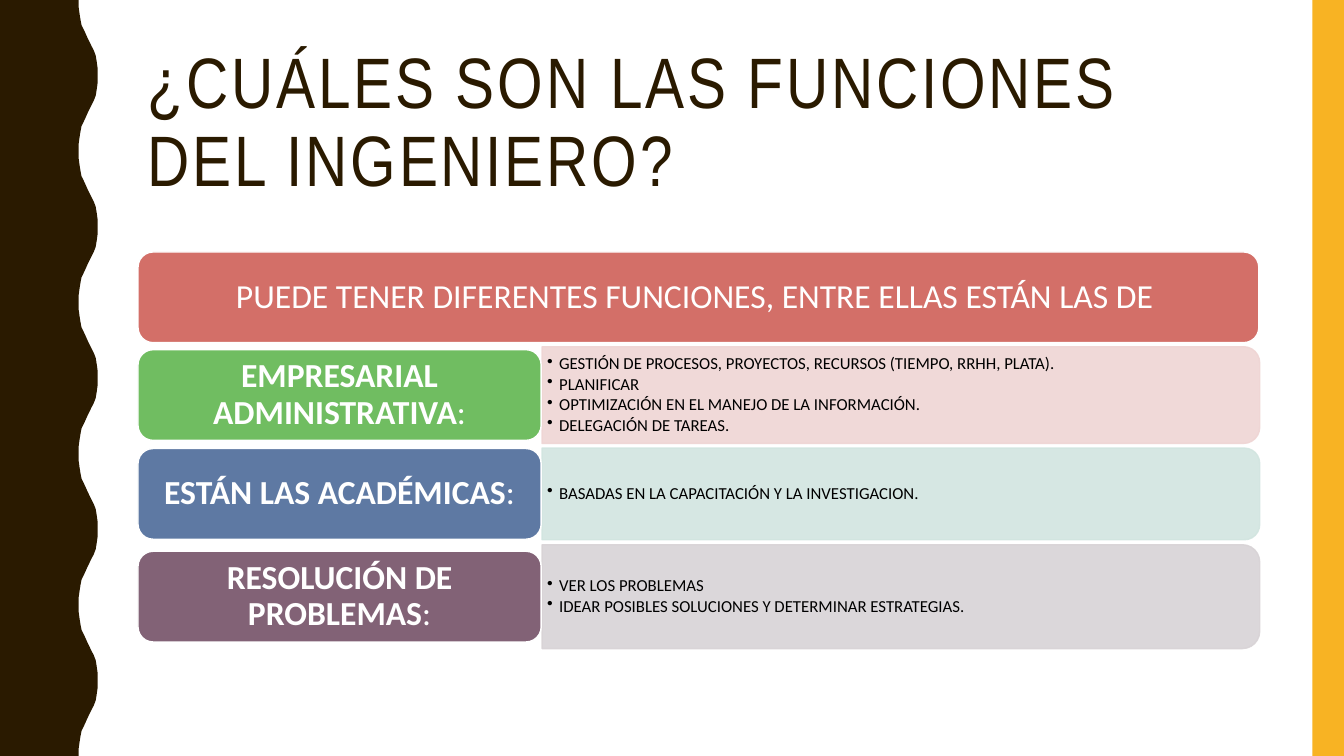
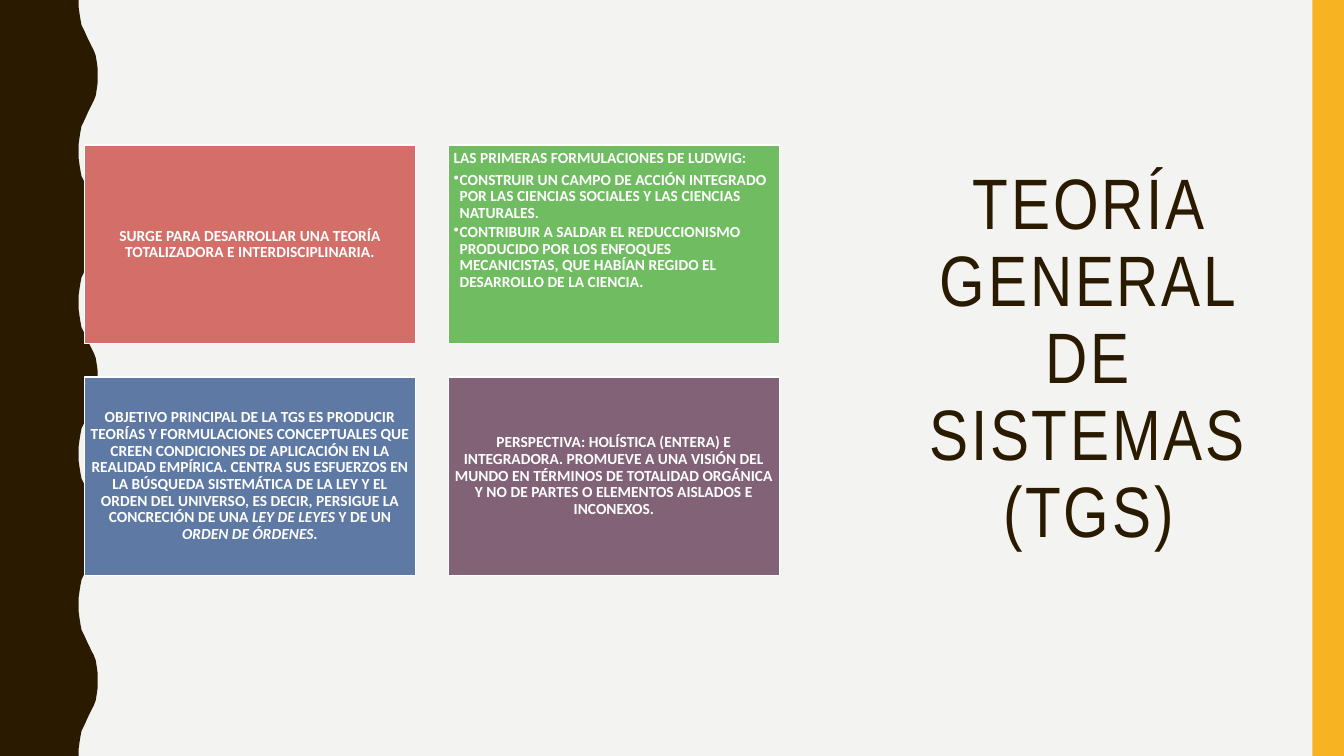
from lxml import etree
from pptx import Presentation
from pptx.dml.color import RGBColor
from pptx.enum.shapes import MSO_SHAPE
from pptx.enum.text import MSO_ANCHOR, PP_ALIGN
from pptx.oxml.ns import qn
from pptx.util import Pt

RECTANGLE = MSO_SHAPE.RECTANGLE
ROUNDED = MSO_SHAPE.ROUNDED_RECTANGLE
TWO_ROUND_CORNERS = MSO_SHAPE.ROUND_2_SAME_RECTANGLE
MIDDLE, TOP = MSO_ANCHOR.MIDDLE, MSO_ANCHOR.TOP
LEFT, CENTER = PP_ALIGN.LEFT, PP_ALIGN.CENTER


class Theme:
    white = RGBColor.from_string("FFFFFF")
    black = RGBColor.from_string("000000")
    pale = RGBColor.from_string("F3F3F2")
    brown = RGBColor.from_string("2A1A00")
    yellow = RGBColor.from_string("F8B323")
    red = RGBColor.from_string("D36F68")
    green = RGBColor.from_string("70BD61")
    blue = RGBColor.from_string("5E79A3")
    purple = RGBColor.from_string("826276")
    pale_red = RGBColor.from_string("EFD5D4")
    pale_teal = RGBColor.from_string("D2E5E0")
    pale_purple = RGBColor.from_string("D8D3D6")
    title_font, body_font = "Arial Narrow", "Calibri"
    title_size, label_size, detail_size, card_size = 51, 24, 12, 11
    panel_opacity = 90
    line_spacing = 0.9


def add_block(slide, kind, box, fill, outline=None, opacity=100):
    """Add a shadowless shape; opacity applies to both fill and outline."""
    block = slide.shapes.add_shape(kind, *map(Pt, box))
    block.shadow.inherit = False
    block.fill.solid()
    block.fill.fore_color.rgb = fill
    if outline is None:
        block.line.fill.background()
    else:
        block.line.color.rgb = outline
        block.line.width = Pt(1)
    if opacity < 100:
        for color in block._element.spPr.iter(qn("a:srgbClr")):
            etree.SubElement(color, qn("a:alpha"), val=str(opacity * 1000))
    return block


def write(frame, paragraphs, size, color, font=Theme.body_font, align=CENTER,
          anchor=MIDDLE, insets=(7.2, 3.6), indent=0, spacing=0):
    """Fill a frame from (bulleted, space after, [(text, bold, italic)]) paragraphs."""
    frame.word_wrap = True
    frame.vertical_anchor = anchor
    frame.margin_left = frame.margin_right = Pt(insets[0])
    frame.margin_top = frame.margin_bottom = Pt(insets[1])
    for index, (bulleted, space_after, runs) in enumerate(paragraphs):
        paragraph = frame.add_paragraph() if index else frame.paragraphs[0]
        if bulleted:
            properties = paragraph._p.get_or_add_pPr()
            properties.set("marL", str(Pt(indent)))
            properties.set("indent", str(-Pt(indent)))
            etree.SubElement(properties, qn("a:buChar"), char="•")
        paragraph.alignment = align
        paragraph.line_spacing = Theme.line_spacing
        paragraph.space_after = Pt(space_after)
        for text, bold, italic in runs:
            run = paragraph.add_run()
            run.text = text
            run.font.name, run.font.size = font, Pt(size)
            run.font.bold, run.font.italic = bold, italic
            run.font.color.rgb = color
            if spacing:
                run._r.get_or_add_rPr().set("spc", str(spacing * 100))


prs = Presentation()
prs.slide_width, prs.slide_height = Pt(960), Pt(540)

# Wavy left band: half a wave, mirrored and repeated down the slide
half_wave = [(56.2, 0), (56.2, 5), (56.9, 10), (57.6, 14.4), (58.3, 18),
             (59.8, 21), (61.2, 24), (62.6, 27.2), (64.1, 30.2), (65.5, 33.1),
             (67, 36), (68.4, 39.6), (69.1, 43.9), (69.8, 49), (69.8, 54)]
wave_length = 108
wave = half_wave + [(x, wave_length - y) for x, y in reversed(half_wave[:-1])]
edge = [(x, y + wave_length * cycle) for cycle in range(5) for x, y in wave]

# Frame and title of every slide
slides = []
for title, background, title_box, title_align in [
    ("¿CUÁLES SON LAS FUNCIONES DEL INGENIERO?", Theme.white,
     (98.6, 30.2, 801.4, 117.4), LEFT),
    ("TEORÍA GENERAL DE SISTEMAS (TGS)", Theme.pale,
     (633.6, 38.2, 288, 438.5), CENTER),
]:
    slide = prs.slides.add_slide(prs.slide_layouts[6])
    slide.background.fill.solid()
    slide.background.fill.fore_color.rgb = background
    outline = slide.shapes.build_freeform(0, 0, scale=1)
    outline.add_line_segments([(Pt(x), Pt(y)) for x, y in edge + [(0, 540)]])
    wavy_band = outline.convert_to_shape()
    wavy_band.shadow.inherit = False
    wavy_band.fill.solid()
    wavy_band.fill.fore_color.rgb = Theme.brown
    wavy_band.line.fill.background()
    add_block(slide, RECTANGLE, (937.4, 0, 22.6, 540), Theme.yellow)
    heading = slide.shapes.add_textbox(*map(Pt, title_box))
    write(heading.text_frame, [(False, 0, [(title, False, False)])],
          Theme.title_size, Theme.brown, Theme.title_font, title_align, spacing=2)
    slides.append(slide)
functions_slide, theory_slide = slides

# Slide 1: header bar and one row per function
row_left, label_width, label_height = 98.6, 288, 64.8
panel_left, panel_width = 387.2, 512.6
header = add_block(functions_slide, ROUNDED, (row_left, 180, 800.6, label_height),
                   Theme.red, Theme.white)
write(header.text_frame,
      [(False, 0, [("PUEDE TENER DIFERENTES FUNCIONES, ENTRE ELLAS ESTÁN LAS DE ",
                    False, False)])],
      Theme.label_size, Theme.white)

for label, label_color, panel_color, center, panel_height, details in [
    ("EMPRESARIAL ADMINISTRATIVA", Theme.green, Theme.pale_red, 282.2, 69.1,
     ["GESTIÓN DE PROCESOS, PROYECTOS, RECURSOS (TIEMPO, RRHH, PLATA).",
      "PLANIFICAR",
      "OPTIMIZACIÓN EN EL MANEJO DE LA INFORMACIÓN.",
      "DELEGACIÓN DE TAREAS."]),
    ("ESTÁN LAS ACADÉMICAS", Theme.blue, Theme.pale_teal, 352.8, 65.5,
     ["BASADAS EN LA CAPACITACIÓN Y LA INVESTIGACION."]),
    ("RESOLUCIÓN DE PROBLEMAS", Theme.purple, Theme.pale_purple, 426.2, 74.2,
     ["VER LOS PROBLEMAS",
      "IDEAR POSIBLES SOLUCIONES Y DETERMINAR ESTRATEGIAS."]),
]:
    # The panel stands upright until a quarter turn puts its round corners right
    upright_box = (panel_left + (panel_width - panel_height) / 2,
                   center - panel_width / 2, panel_height, panel_width)
    panel = add_block(functions_slide, TWO_ROUND_CORNERS, upright_box, panel_color,
                      panel_color, Theme.panel_opacity)
    panel.rotation = 90
    detail_box = (panel_left, center - panel_height / 2, panel_width, panel_height)
    detail_text = functions_slide.shapes.add_textbox(*map(Pt, detail_box))
    write(detail_text.text_frame,
          [(True, 1.6, [(detail, False, False)]) for detail in details],
          Theme.detail_size, Theme.black, align=LEFT, insets=(3.6, 2.2), indent=8.6)
    label_box = (row_left, center - label_height / 2, label_width, label_height)
    function_label = add_block(functions_slide, ROUNDED, label_box, label_color,
                               Theme.white)
    write(function_label.text_frame,
          [(False, 0, [(label, True, False), (":", False, False)])],
          Theme.label_size, Theme.white)

# Slide 2: two by two cards
grid_left, grid_top, card_width, card_height, gap = 60.5, 103.7, 236.2, 141.8, 23.7
cards = [
    (Theme.red, CENTER, MIDDLE, [
        (False, 0, [("SURGE PARA DESARROLLAR UNA TEORÍA TOTALIZADORA E "
                     "INTERDISCIPLINARIA.", True, False)])]),
    (Theme.green, LEFT, TOP, [
        (False, 3.8, [("LAS PRIMERAS FORMULACIONES DE LUDWIG:", True, False)]),
        (True, 1.6, [("CONSTRUIR UN CAMPO DE ACCIÓN INTEGRADO POR LAS CIENCIAS "
                      "SOCIALES Y LAS CIENCIAS NATURALES.", True, False)]),
        (True, 1.6, [("CONTRIBUIR A SALDAR EL REDUCCIONISMO PRODUCIDO POR LOS "
                      "ENFOQUES MECANICISTAS, QUE HABÍAN REGIDO EL DESARROLLO DE "
                      "LA CIENCIA.", True, False)])]),
    (Theme.blue, CENTER, MIDDLE, [
        (False, 0, [("OBJETIVO PRINCIPAL DE LA TGS ES PRODUCIR TEORÍAS Y "
                     "FORMULACIONES CONCEPTUALES QUE CREEN CONDICIONES DE "
                     "APLICACIÓN EN LA REALIDAD EMPÍRICA. CENTRA SUS ESFUERZOS EN "
                     "LA BÚSQUEDA SISTEMÁTICA DE LA LEY Y EL ORDEN DEL UNIVERSO, "
                     "ES DECIR, PERSIGUE LA CONCRECIÓN DE UNA ", True, False),
                    ("LEY DE LEYES", True, True),
                    (" Y DE UN ", True, False),
                    ("ORDEN DE ÓRDENES.", True, True)])]),
    (Theme.purple, CENTER, MIDDLE, [
        (False, 0, [("PERSPECTIVA: HOLÍSTICA (ENTERA) E INTEGRADORA. PROMUEVE A "
                     "UNA VISIÓN DEL MUNDO EN TÉRMINOS DE TOTALIDAD ORGÁNICA Y NO "
                     "DE PARTES O ELEMENTOS AISLADOS E INCONEXOS.", True, False)])]),
]
for index, (color, align, anchor, paragraphs) in enumerate(cards):
    row, column = divmod(index, 2)
    card_box = (grid_left + column * (card_width + gap),
                grid_top + row * (card_height + gap), card_width, card_height)
    card = add_block(theory_slide, RECTANGLE, card_box, color, Theme.white)
    write(card.text_frame, paragraphs, Theme.card_size, Theme.white, align=align,
          anchor=anchor, insets=(3.6, 3.6), indent=4.3)

prs.save("out.pptx")
